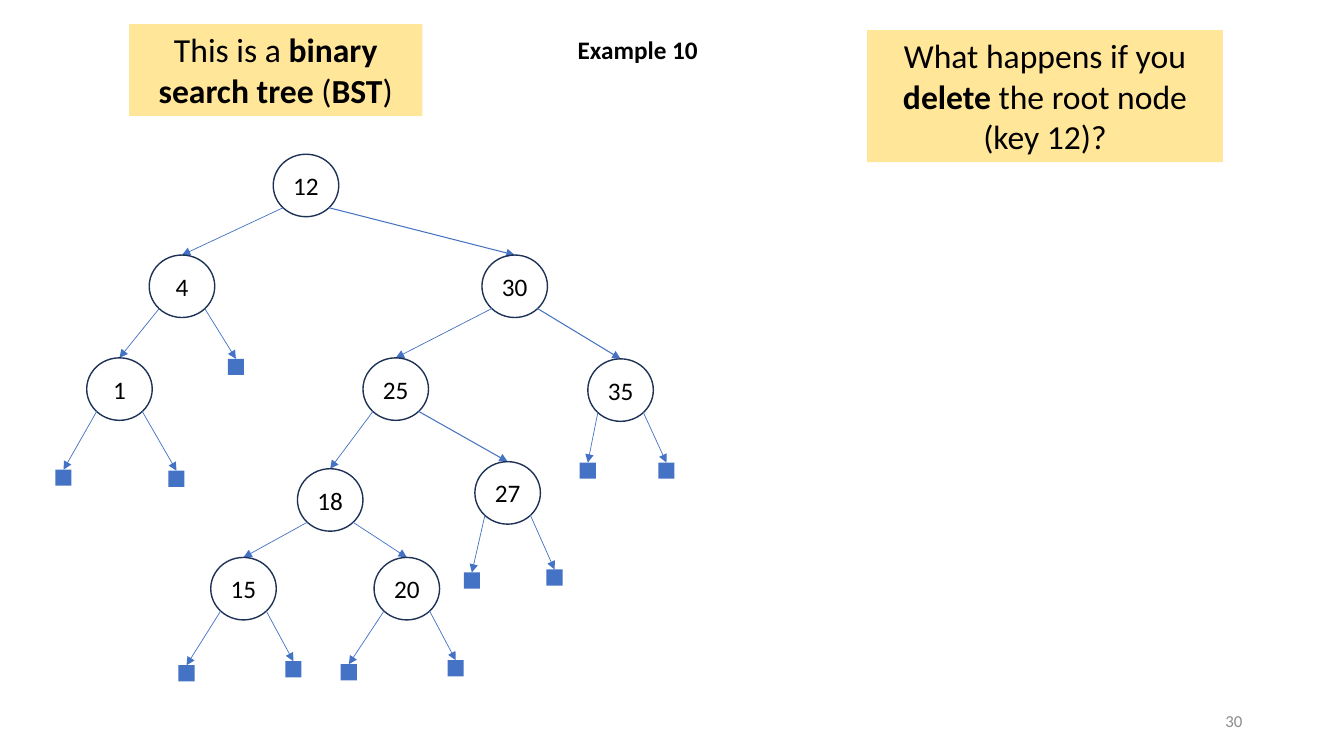
"""Build a slide showing a binary search tree and a question about deleting its root."""
from dataclasses import dataclass

from lxml import etree
from pptx import Presentation
from pptx.dml.color import RGBColor
from pptx.enum.shapes import MSO_CONNECTOR, MSO_SHAPE
from pptx.enum.text import MSO_ANCHOR, MSO_AUTO_SIZE, PP_ALIGN
from pptx.oxml.ns import qn
from pptx.shapes.autoshape import Shape
from pptx.slide import Slide
from pptx.util import Inches, Pt

STRAIGHT = MSO_CONNECTOR.STRAIGHT
OVAL, RECTANGLE = MSO_SHAPE.OVAL, MSO_SHAPE.RECTANGLE
TOP, MIDDLE = MSO_ANCHOR.TOP, MSO_ANCHOR.MIDDLE
NO_AUTOFIT = MSO_AUTO_SIZE.NONE
LEFT, CENTER, RIGHT = PP_ALIGN.LEFT, PP_ALIGN.CENTER, PP_ALIGN.RIGHT

COLORS = {
    "text": "000000",
    "callout": "FFE699",
    "outline": "1E3256",
    "link": "4472C4",
    "number": "8C8C8C",
}
FONT = "Calibri"
NODE_WIDTH, NODE_HEIGHT = 0.65, 0.62
LEAF_SIZE = 0.16
LINK_INSET, LINK_DROP = 0.1, 0.53


@dataclass(frozen=True)
class Leaf:
    """An empty subtree, placed by its top left corner."""
    left: float
    top: float
    link_width: float = 0.5
    width: float = LEAF_SIZE


@dataclass(frozen=True)
class Node:
    """A keyed tree node with its two subtrees."""
    key: int
    left: float
    top: float
    smaller: "Node | Leaf"
    larger: "Node | Leaf"
    link_width: float = 0.5
    width: float = NODE_WIDTH


@dataclass(frozen=True)
class Callout:
    """A highlighted statement made of (text, bold) runs."""
    left: float
    top: float
    width: float
    height: float
    runs: tuple[tuple[str, bool], ...]


TREE = Node(
    12, 2.71, 1.53,
    Node(4, 1.48, 2.53,
         Node(1, 0.86, 3.55, Leaf(0.55, 4.66), Leaf(1.67, 4.67)),
         Leaf(2.26, 3.56)),
    Node(30, 4.78, 2.53,
         Node(25, 3.6, 3.55,
              Node(18, 2.95, 4.65,
                   Node(15, 2.09, 5.53, Leaf(1.77, 6.6), Leaf(2.83, 6.56)),
                   Node(20, 3.71, 5.53, Leaf(3.38, 6.59), Leaf(4.44, 6.55))),
              Node(27, 4.71, 4.58, Leaf(4.6, 5.68), Leaf(5.42, 5.65),
                   link_width=0.75)),
         Node(35, 5.83, 3.56, Leaf(5.75, 4.59), Leaf(6.53, 4.59),
              link_width=0.75),
         link_width=0.75),
)

CALLOUTS = (
    Callout(1.28, 0.24, 2.91, 0.91, (
        ("This is a ", False), ("binary search tree", True),
        (" (", False), ("BST", True), (")", False))),
    Callout(8.6, 0.3, 3.53, 1.31, (
        ("What happens if you ", False), ("delete", True),
        (" the root node (key 12)?", False))),
)


def color(name: str) -> RGBColor:
    """Return the named colour."""
    return RGBColor.from_string(COLORS[name])


def write(shape: Shape, *runs: tuple[str, bool], size: int = 18,
          tint: str = "text", align: PP_ALIGN = CENTER,
          anchor: MSO_ANCHOR = TOP, wrap: bool = True) -> None:
    """Fill a shape with one paragraph of formatted (text, bold) runs."""
    frame = shape.text_frame
    frame.auto_size = NO_AUTOFIT
    frame.word_wrap = wrap
    frame.vertical_anchor = anchor
    paragraph = frame.paragraphs[0]
    paragraph.alignment = align
    for text, bold in runs:
        run = paragraph.add_run()
        run.text = text
        run.font.name = FONT
        run.font.size = Pt(size)
        run.font.bold = bold
        run.font.color.rgb = color(tint)


def add_block(slide: Slide, preset: MSO_SHAPE, left: float, top: float,
              width: float, height: float, fill: str | None = None) -> Shape:
    """Add a flat shape, filled without outline or outlined without fill."""
    block = slide.shapes.add_shape(
        preset, Inches(left), Inches(top), Inches(width), Inches(height))
    block.shadow.inherit = False
    if fill:
        block.fill.solid()
        block.fill.fore_color.rgb = color(fill)
        block.line.fill.background()
    else:
        block.fill.background()
        block.line.color.rgb = color("outline")
        block.line.width = Pt(1)
    return block


def add_link(slide: Slide, start_x: float, start_y: float,
             child: Node | Leaf) -> None:
    """Draw an arrow from a parent to the top centre of its child."""
    link = slide.shapes.add_connector(
        STRAIGHT, Inches(start_x), Inches(start_y),
        Inches(child.left + child.width / 2), Inches(child.top))
    link.line.color.rgb = color("link")
    link.line.width = Pt(child.link_width)
    properties = link.element.spPr
    etree.SubElement(properties.find(qn("a:ln")), qn("a:tailEnd"), type="triangle")
    etree.SubElement(properties, qn("a:effectLst"))


def add_tree(slide: Slide, tree: Node | Leaf) -> None:
    """Draw a subtree with the links to its children."""
    if isinstance(tree, Leaf):
        add_block(slide, RECTANGLE, tree.left, tree.top,
                  LEAF_SIZE, LEAF_SIZE, fill="link")
        return
    circle = add_block(slide, OVAL, tree.left, tree.top, NODE_WIDTH, NODE_HEIGHT)
    write(circle, (str(tree.key), False), anchor=MIDDLE, wrap=False)
    link_y = tree.top + LINK_DROP
    add_link(slide, tree.left + LINK_INSET, link_y, tree.smaller)
    add_link(slide, tree.left + NODE_WIDTH - LINK_INSET, link_y, tree.larger)
    add_tree(slide, tree.smaller)
    add_tree(slide, tree.larger)


def main() -> None:
    """Build and save the slide."""
    deck = Presentation()
    deck.slide_width, deck.slide_height = Inches(13.33), Inches(7.5)
    slide = deck.slides.add_slide(deck.slide_layouts[5])

    title = slide.shapes.title
    title.left, title.top = Inches(5.63), Inches(0.29)
    title.width, title.height = Inches(1.4), Inches(0.4)
    write(title, ("Example 10", True), align=LEFT, wrap=False)

    for callout in CALLOUTS:
        panel = add_block(slide, RECTANGLE, callout.left, callout.top,
                          callout.width, callout.height, fill="callout")
        write(panel, *callout.runs, size=24)

    add_tree(slide, TREE)

    page_number = slide.shapes.add_textbox(
        Inches(9.42), Inches(6.95), Inches(3), Inches(0.4))
    write(page_number, ("30", False), size=12, tint="number",
          align=RIGHT, anchor=MIDDLE)
    deck.save("out.pptx")


if __name__ == "__main__":
    main()
